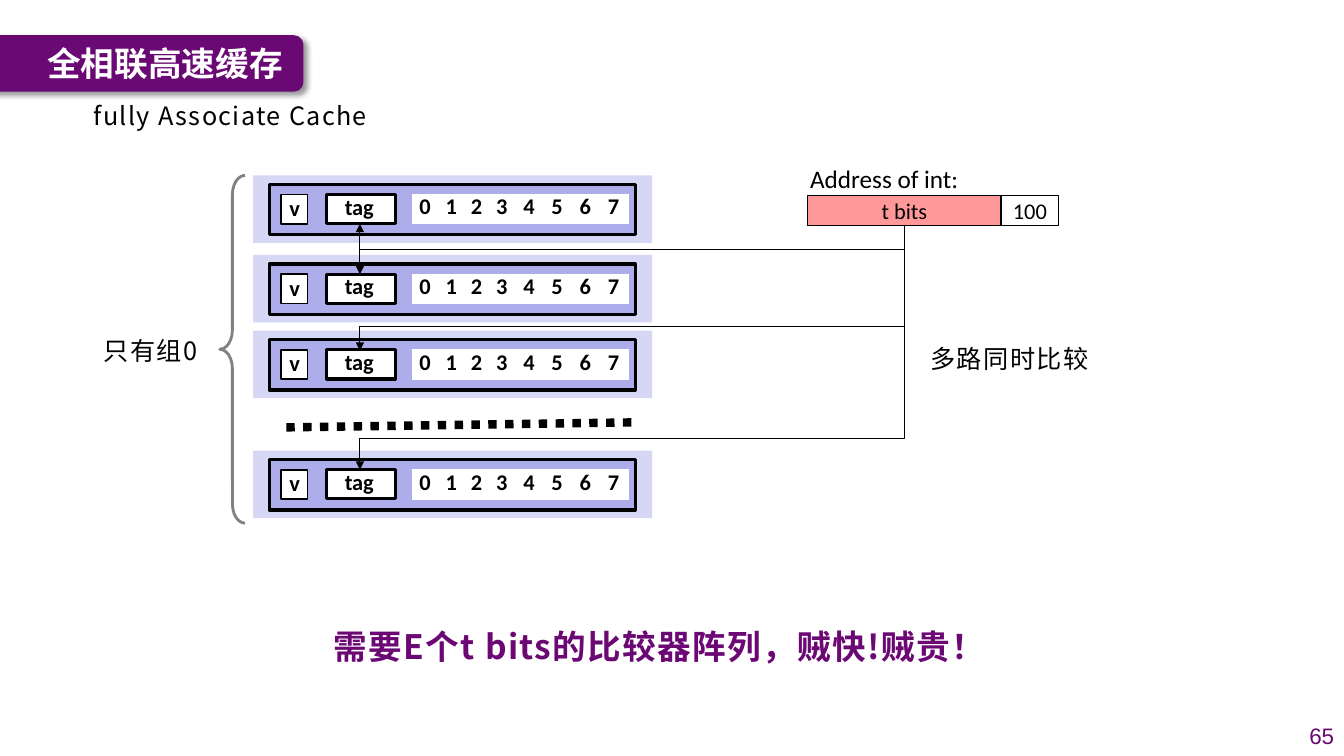
"""Build the fully associative cache slide."""
from dataclasses import dataclass

from lxml.etree import SubElement
from pptx import Presentation
from pptx.dml.color import RGBColor
from pptx.enum.dml import MSO_LINE
from pptx.enum.shapes import MSO_CONNECTOR, MSO_SHAPE
from pptx.enum.text import MSO_ANCHOR, MSO_AUTO_SIZE, PP_ALIGN
from pptx.oxml.ns import qn
from pptx.util import Emu, Pt

PX = 9144
SANS, CALIBRI = "Noto Sans CJK SC", "Calibri"
PURPLE, BLACK, WHITE = "6A0874", "000000", "FFFFFF"
LINE_TOPS = (174, 253, 328, 447)
BYTE_WIDTHS = (26, 25, 25, 26, 28, 28, 28, 28)
TAG_CENTER, BUS_X, BUS_TOP = 357, 897, 223


@dataclass(frozen=True)
class Label:
    text: str
    x: int
    y: int
    w: int
    h: int
    size: int = 18
    font: str = SANS
    color: str = BLACK
    bold: bool = False
    spacing: int = 100
    align: PP_ALIGN = PP_ALIGN.LEFT
    anchor: MSO_ANCHOR = MSO_ANCHOR.TOP


@dataclass(frozen=True)
class Route:
    end_y: int
    bend_y: int


LABELS = (
    Label("只有组0", 93, 328, 116, 40),
    Label("fully Associate Cache", 83, 95, 303, 40),
    Label("Address of int:", 791, 157, 172, 40, font=CALIBRI, spacing=0, align=PP_ALIGN.CENTER),
    Label("多路同时比较", 913, 336, 180, 40),
    Label("需要E个t bits的比较器阵列，贼快!贼贵！", 321, 616, 692, 50, size=24,
          color="6B0874", bold=True),
    Label("65", 1278, 710, 55, 40, size=16, font="Arial", color=PURPLE, spacing=0,
          align=PP_ALIGN.RIGHT, anchor=MSO_ANCHOR.MIDDLE),
)
ROUTES = (Route(466, 435), Route(272, 248), Route(348, 324), Route(222, 248))


def px(*values: float) -> list[Emu]:
    """Turn px into EMU."""
    return [Emu(round(v * PX)) for v in values]


def rgb(color: str) -> RGBColor:
    """Turn a hex string into a colour."""
    return RGBColor.from_string(color)


def write(tf, text: str, *, size: int = 16, font: str = CALIBRI, color: str = BLACK,
          bold: bool = False, spacing: int = 0, align=PP_ALIGN.LEFT,
          indent: int = 0, leading: float | None = None) -> None:
    """Put one formatted run in a text frame."""
    p = tf.paragraphs[0]
    p.alignment = align
    if leading:
        p.line_spacing = Pt(leading)
    if indent:
        p._p.get_or_add_pPr().set("marL", str(px(indent)[0]))
    r = p.add_run()
    r.text = text
    r.font.size, r.font.name, r.font.bold = Pt(size), font, bold
    r.font.color.rgb = rgb(color)
    rPr = r._r.get_or_add_rPr()
    SubElement(rPr, qn("a:ea")).set("typeface", font)
    if spacing:
        rPr.set("spc", str(spacing))


def no_margins(box) -> None:
    """Clear the insets of a text frame or table cell."""
    box.margin_left = box.margin_right = box.margin_top = box.margin_bottom = 0


def add_box(slide, x: int, y: int, w: int, h: int, *, fill: str | None = None,
            line: str | None = None, width: float = 1, kind=MSO_SHAPE.RECTANGLE):
    """Draw a preset shape without a shadow."""
    sp = slide.shapes.add_shape(kind, *px(x, y, w, h))
    sp.shadow.inherit = False
    if fill:
        sp.fill.solid()
        sp.fill.fore_color.rgb = rgb(fill)
    else:
        sp.fill.background()
    if line:
        sp.line.color.rgb = rgb(line)
        sp.line.width = Pt(width)
    else:
        sp.line.fill.background()
    return sp


def add_line(slide, kind, x1: float, y1: float, x2: float, y2: float, width: float):
    """Draw a black connector without a shadow."""
    c = slide.shapes.add_connector(kind, *px(x1, y1, x2, y2))
    c.line.color.rgb = rgb(BLACK)
    c.line.width = Pt(width)
    SubElement(c._element.spPr, qn("a:effectLst"))
    return c


def add_title(slide, text: str) -> None:
    """Draw the banner and set the title on it."""
    banner = add_box(slide, -16, 35, 317, 56, fill=PURPLE, kind=MSO_SHAPE.ROUNDED_RECTANGLE)
    effects = banner._element.spPr.find(qn("a:effectLst"))
    shadow = SubElement(effects, qn("a:outerShdw"), blurRad=str(Pt(4)), dist=str(Pt(3)),
                        dir="2700000", algn="tl", rotWithShape="0")
    color = SubElement(shadow, qn("a:srgbClr"), val=BLACK)
    SubElement(color, qn("a:alpha"), val="40000")
    title = slide.shapes.title
    title.left, title.top, title.width, title.height = px(37, 35, 264, 55)
    slide.shapes._spTree.append(title._element)
    tf = title.text_frame
    tf.auto_size = MSO_AUTO_SIZE.NONE
    tf.vertical_anchor = MSO_ANCHOR.MIDDLE
    write(tf, text, size=24, font=SANS, color=WHITE, bold=True)


def add_field(slide, text: str, x: int, y: int, w: int, *, indent: int,
              leading: float, width: float) -> None:
    """Draw one outlined field of a cache line."""
    tf = add_box(slide, x, y, w, 29, fill=WHITE, line=BLACK, width=width).text_frame
    no_margins(tf)
    tf.vertical_anchor = MSO_ANCHOR.TOP
    write(tf, text, bold=True, spacing=-10, indent=indent, leading=leading)


def add_cache_line(slide, top: int) -> None:
    """Draw a cache line with valid bit, tag and data bytes."""
    add_box(slide, 251, top, 396, 67, fill="D6D6F5")
    add_box(slide, 267, top + 9, 363, 50, fill="ADADEB", line=BLACK, width=2.25)
    add_field(slide, "tag", 324, top + 19, 68, indent=18, leading=17.9, width=2.25)
    add_field(slide, "v", 279, top + 19, 26, indent=8, leading=18.9, width=1.25)
    count = len(BYTE_WIDTHS)
    table = slide.shapes.add_table(1, count, *px(409, top + 19, sum(BYTE_WIDTHS), 29)).table
    table.first_row = table.horz_banding = False
    for i, w in enumerate(BYTE_WIDTHS):
        table.columns[i].width = px(w)[0]
        cell = table.cell(0, i)
        no_margins(cell)
        cell.fill.solid()
        cell.fill.fore_color.rgb = rgb(WHITE)
        write(cell.text_frame, str(i), bold=True, indent=7 if i < 4 else 8, leading=18.9)


def add_address_part(slide, text: str, x: int, w: int, fill: str) -> None:
    """Draw one part of the address."""
    tf = add_box(slide, x, 194, w, 30, fill=fill, line=BLACK).text_frame
    tf.vertical_anchor = MSO_ANCHOR.MIDDLE
    write(tf, text, align=PP_ALIGN.CENTER)


def add_route(slide, route: Route) -> None:
    """Draw a bent arrow from the address to a tag, turned by 90 degrees."""
    drop, reach = route.end_y - BUS_TOP, BUS_X - TAG_CENTER
    cx, cy = (BUS_X + TAG_CENTER) / 2, (BUS_TOP + route.end_y) / 2
    c = add_line(slide, MSO_CONNECTOR.ELBOW, cx - drop / 2, cy - reach / 2,
                 cx + drop / 2, cy + reach / 2, 0.75)
    spPr = c._element.spPr
    spPr.find(qn("a:xfrm")).set("rot", "5400000")
    bend = round((route.bend_y - BUS_TOP) / drop * 100000)
    guides = spPr.find(qn("a:prstGeom")).find(qn("a:avLst"))
    SubElement(guides, qn("a:gd"), name="adj1", fmla=f"val {bend}")
    SubElement(spPr.find(qn("a:ln")), qn("a:tailEnd"), type="triangle")


def add_label(slide, label: Label) -> None:
    """Draw a text box."""
    tf = slide.shapes.add_textbox(*px(label.x, label.y, label.w, label.h)).text_frame
    tf.word_wrap = True
    tf.vertical_anchor = label.anchor
    write(tf, label.text, size=label.size, font=label.font, color=label.color,
          bold=label.bold, spacing=label.spacing, align=label.align)


def main() -> None:
    """Build and save the slide."""
    prs = Presentation()
    prs.slide_width, prs.slide_height = px(1333, 750)
    slide = prs.slides.add_slide(prs.slide_layouts[5])
    add_title(slide, "全相联高速缓存")
    dots = add_line(slide, MSO_CONNECTOR.STRAIGHT, 284, 424, 631, 419, 6)
    dots.line.dash_style = MSO_LINE.ROUND_DOT
    for top in LINE_TOPS:
        add_cache_line(slide, top)
    brace = add_box(slide, 218, 174, 25, 345, line="818181", width=2, kind=MSO_SHAPE.LEFT_BRACE)
    brace.adjustments[0] = 0.76
    add_address_part(slide, "t bits", 801, 192, "FF9999")
    add_address_part(slide, "100", 993, 57, WHITE)
    for route in ROUTES:
        add_route(slide, route)
    for label in LABELS:
        add_label(slide, label)


    prs.save("out.pptx")


if __name__ == "__main__":
    main()
